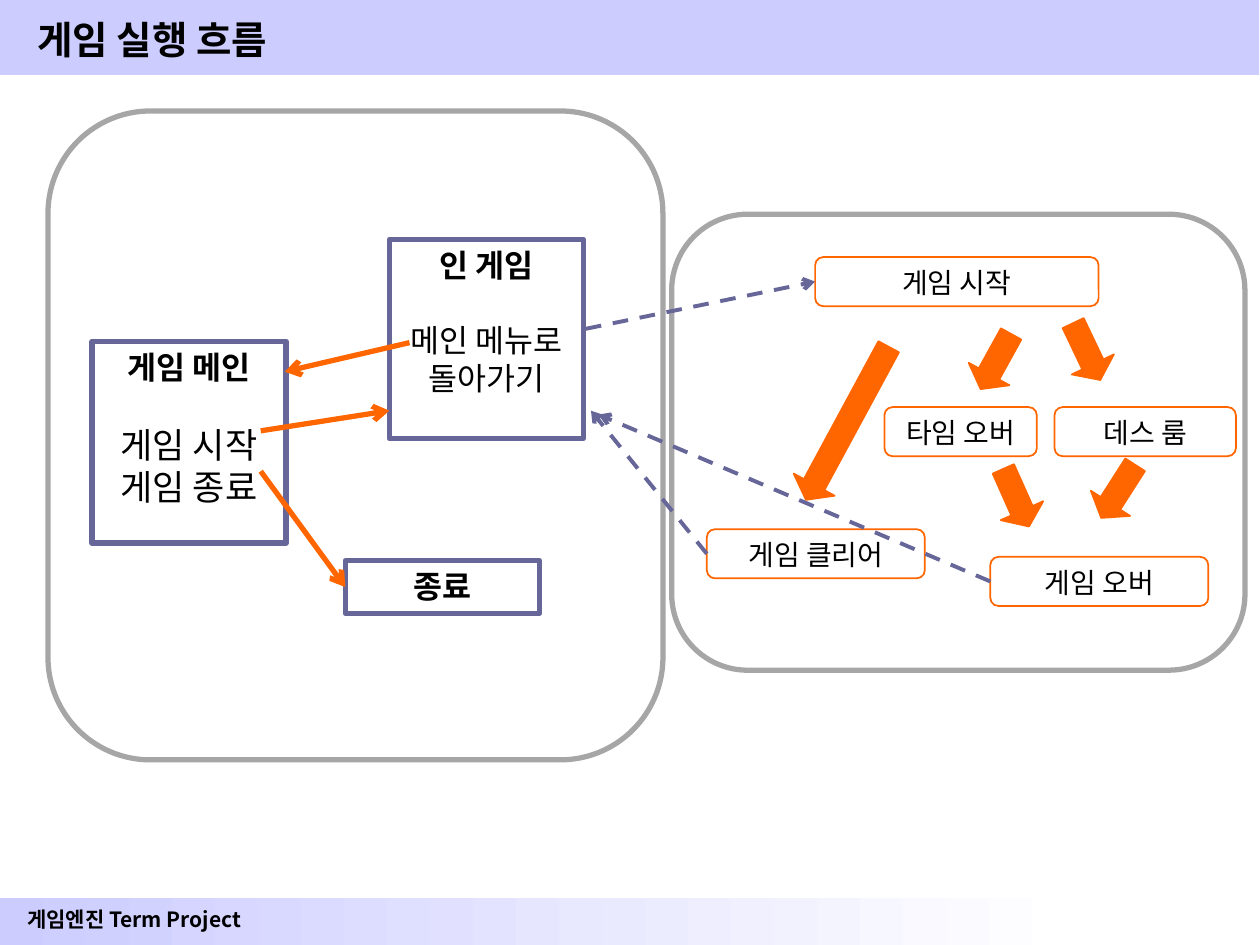
from dataclasses import dataclass

from lxml.etree import SubElement
from pptx import Presentation
from pptx.dml.color import RGBColor as Rgb
from pptx.enum.dml import MSO_LINE
from pptx.enum.shapes import MSO_CONNECTOR, MSO_SHAPE as Shape
from pptx.enum.text import MSO_ANCHOR as Anchor, PP_ALIGN as Align
from pptx.oxml.ns import qn
from pptx.util import Pt


@dataclass(frozen=True)
class Theme:
    font: str = "Noto Sans CJK KR"
    text: Rgb = Rgb(0, 0, 0)
    paper: Rgb = Rgb(0xFF, 0xFF, 0xFF)
    band: Rgb = Rgb(0xCC, 0xCC, 0xFF)
    panel: Rgb = Rgb(0xA6, 0xA6, 0xA6)
    screen: Rgb = Rgb(0x66, 0x66, 0x99)
    accent: Rgb = Rgb(0xFF, 0x66, 0x00)
    title: float = 22
    action: float = 20
    heading: float = 18
    state: float = 16
    footer: float = 12


THEME = Theme()
LEFT = 1  # connection site on the left side


def points(values):
    return [Pt(value) for value in values]


def add_block(slide, kind, box, fill=None, line=None, weight=1):
    block = slide.shapes.add_shape(kind, *points(box))
    block.shadow.inherit = False
    if fill is None:
        block.fill.background()
    else:
        block.fill.solid()
        block.fill.fore_color.rgb = fill
    if line is None:
        block.line.fill.background()
    else:
        block.line.color.rgb = line
        block.line.width = Pt(weight)
    return block


def write(frame, lines, align=Align.CENTER, anchor=Anchor.TOP, gap=0):
    """Write (text, size, bold) lines, with a gap after the first one."""
    frame.word_wrap = True
    frame.vertical_anchor = anchor
    frame.text = "\n".join(text for text, _, _ in lines)
    for paragraph, (_, size, bold) in zip(frame.paragraphs, lines):
        paragraph.alignment = align
        font = paragraph.runs[0].font
        font.name, font.size, font.bold = THEME.font, Pt(size), bold
        font.color.rgb = THEME.text
        properties = paragraph.runs[0]._r.get_or_add_rPr()
        SubElement(properties, qn("a:ea")).set("typeface", THEME.font)
    if gap:
        frame.paragraphs[0].space_after = Pt(gap)


def add_link(slide, start, end, color, weight, dashed=False, source=None, target=None):
    link = slide.shapes.add_connector(MSO_CONNECTOR.STRAIGHT, *points((*start, *end)))
    if source is not None:
        link.begin_connect(source, LEFT)
    if target is not None:
        link.end_connect(target, LEFT)
    link.line.color.rgb = color
    link.line.width = Pt(weight)
    if dashed:
        link.line.dash_style = MSO_LINE.DASH
    SubElement(link.line._get_or_add_ln(), qn("a:tailEnd")).set("type", "arrow")
    SubElement(link._element.spPr, qn("a:effectLst"))


def add_header(slide, box):
    x, y, width, height = box
    add_block(slide, Shape.RECTANGLE, box, THEME.band)
    title = slide.shapes.add_textbox(*points((x + 14.4, y + 3.6, width - 21.6, height - 5.8)))
    write(title.text_frame, [("게임 실행 흐름", THEME.title, True)], Align.LEFT, Anchor.MIDDLE)


def add_footer(slide, box):
    x, y, _, _ = box
    band = add_block(slide, Shape.RECTANGLE, box, THEME.band)
    band.fill.gradient()
    band.fill.gradient_angle = 0
    for stop, color, position in zip(band.fill.gradient_stops, (THEME.band, THEME.paper), (0, 1)):
        stop.color.rgb = color
        stop.position = position
    course = slide.shapes.add_textbox(*points((x + 2.9, y + 1.5, 147.6, 21.6)))
    write(course.text_frame, [("게임엔진 Term Project", THEME.footer, True)])


def add_screen_panel(slide, box):
    """Screens of the program and the moves between them."""
    x, y, _, _ = box
    add_block(slide, Shape.ROUNDED_RECTANGLE, box, line=THEME.panel, weight=3)

    def add_screen(dx, dy, height, heading, *actions):
        screen = add_block(slide, Shape.RECTANGLE, (x + dx, y + dy, 110.9, height),
                           line=THEME.screen, weight=3)
        write(screen.text_frame, [(heading, THEME.heading, True), *actions],
              gap=THEME.heading * 1.2 if actions else 0)
        return screen

    add_screen(25.2, 131.7, 115.2, "게임 메인",
               ("게임 시작", THEME.action, False), ("게임 종료", THEME.action, False))
    add_screen(195.1, 73.4, 113.8, "인 게임", ("메인 메뉴로 돌아가기", THEME.heading, False))
    exit_screen = add_screen(169.9, 257, 30.2, "종료")

    moves = [((121.6, 182.8), (195.1, 171.3), None),
             ((121.6, 205.9), (169.9, 272.1), exit_screen),
             ((206.6, 132.4), (135.3, 149), None)]
    for (x1, y1), (x2, y2), target in moves:
        add_link(slide, (x + x1, y + y1), (x + x2, y + y2), THEME.accent, 3, target=target)


def add_play_panel(slide, box):
    """States of one round; returns those linked to the in-game screen."""
    x, y, _, _ = box
    add_block(slide, Shape.ROUNDED_RECTANGLE, box, line=THEME.panel, weight=3)

    # States: offset and width
    states = {}
    for name, dx, dy, width in [("게임 시작", 82, 24.5, 162),
                                ("게임 클리어", 20.1, 180, 124.6),
                                ("게임 오버", 182.1, 195.8, 124.6),
                                ("타임 오버", 121.6, 110.2, 87.1),
                                ("데스 룸", 218.8, 110.2, 103.7)]:
        state = add_block(slide, Shape.ROUNDED_RECTANGLE, (x + dx, y + dy, width, 28.1),
                          line=THEME.accent)
        write(state.text_frame, [(name, THEME.state, False)])
        states[name] = state

    # Block arrows: offset, length and rotation
    for dx, dy, length, angle in [(87.1, 69.8, 99.4, 28.4),
                                  (223.9, 60.5, 36, 334.5),
                                  (172, 66.2, 36, 28.9),
                                  (183.6, 144, 36, 336),
                                  (241.9, 140.4, 36, 32.6)]:
        arrow = add_block(slide, Shape.DOWN_ARROW, (x + dx, y + dy, 26.6, length),
                          THEME.accent, THEME.accent)
        arrow.adjustments[1] = 0.37
        arrow.rotation = angle
    return states["게임 시작"], states["게임 클리어"], states["게임 오버"]


def add_panel_links(slide, box, start, clear, over):
    """Dashed links between the in-game screen, given as box, and the states."""
    x, y, width, height = box
    right = x + width
    style = dict(color=THEME.screen, weight=2.25, dashed=True)
    add_link(slide, (right + 1.4, y + 51.1), (right + 132.4, y + 23.8), target=start, **style)
    bottom = y + height
    for state, dx, dy in [(over, 8.6, -13.7), (clear, 4.3, -15.9)]:
        add_link(slide, (right, bottom), (right + dx, bottom + dy), source=state, **style)


def main():
    deck = Presentation()
    deck.slide_width, deck.slide_height = Pt(720), Pt(540)
    slide = deck.slides.add_slide(deck.slide_layouts[6])
    add_footer(slide, (0, 513.2, 614.2, 27))
    add_header(slide, (0, 0, 719.5, 42.8))
    add_screen_panel(slide, (27.4, 63.4, 351.4, 370.8))
    linked_states = add_play_panel(slide, (383.8, 122.4, 327.6, 260.6))
    add_panel_links(slide, (222.5, 136.8, 110.9, 113.8), *linked_states)
    deck.save("out.pptx")


if __name__ == "__main__":
    main()
